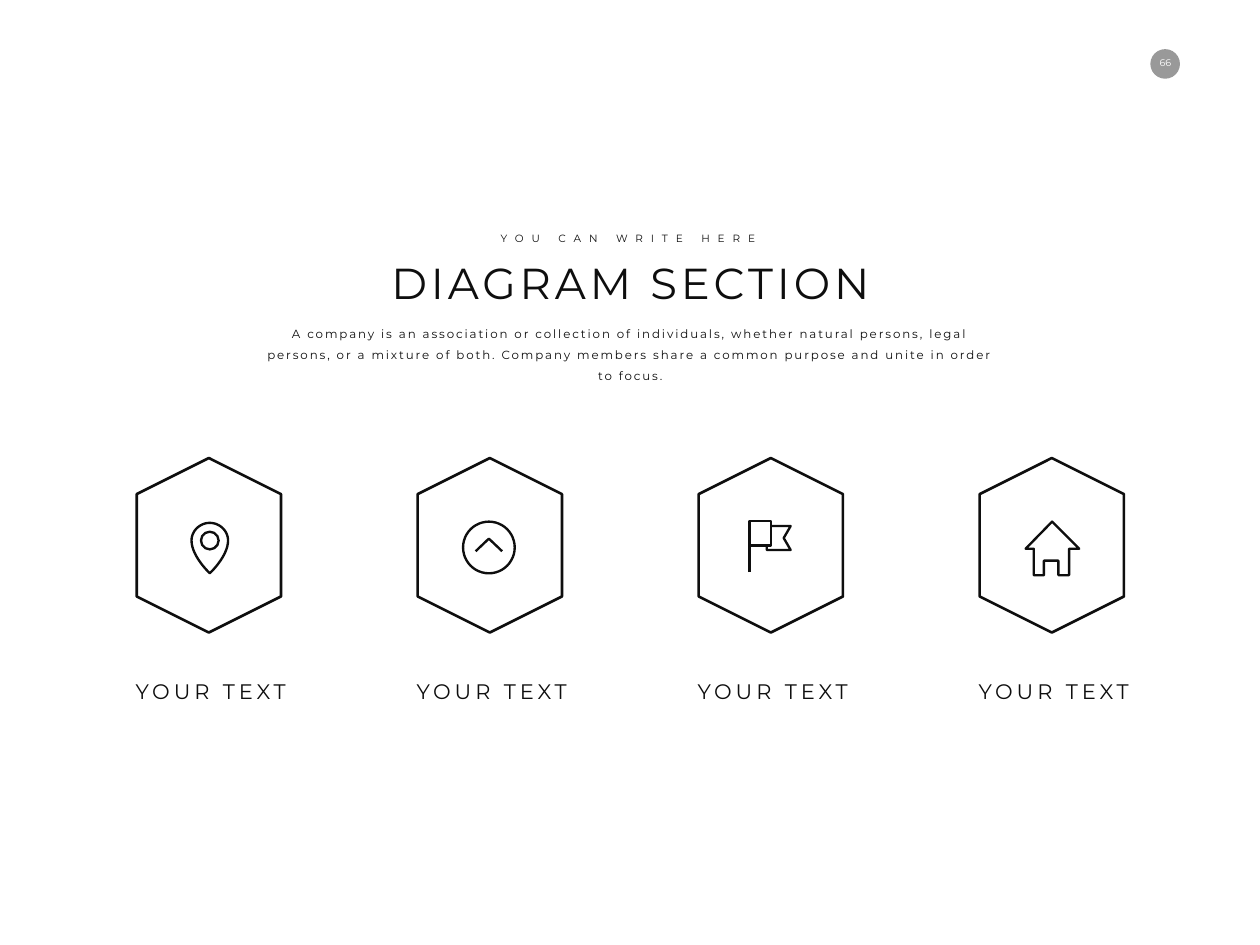
from pptx import Presentation
from pptx.dml.color import RGBColor
from pptx.enum.shapes import MSO_SHAPE
from pptx.enum.text import MSO_AUTO_SIZE, PP_ALIGN
from pptx.oxml.ns import qn
from pptx.util import Inches, Pt
from lxml import etree

HEXAGON = MSO_SHAPE.HEXAGON
OVAL = MSO_SHAPE.OVAL
RECTANGLE = MSO_SHAPE.RECTANGLE
CENTER = PP_ALIGN.CENTER
GROW = MSO_AUTO_SIZE.SHAPE_TO_FIT_TEXT

INTRODUCTION = (
    "A company is an association or collection of individuals, whether natural "
    "persons, legal persons, or a mixture of both. Company members share a common "
    "purpose and unite in order to focus."
)


def color(value):
    return RGBColor.from_string(value)


def curve(start, first, second, end, steps=16):
    points = []
    for step in range(1, steps + 1):
        t = step / steps
        u = 1 - t
        points.append(tuple(
            u**3 * a + 3 * u**2 * t * b + 3 * u * t**2 * c + t**3 * d
            for a, b, c, d in zip(start, first, second, end)
        ))
    return points


class DiagramSlide:
    font = "Montserrat"
    ink = "0E0E0E"
    icon_line = 2.7

    def __init__(self, presentation):
        self.slide = presentation.slides.add_slide(presentation.slide_layouts[6])

    def paint(self, shape, fill=None, line=None):
        shape.shadow.inherit = False
        if fill:
            shape.fill.solid()
            shape.fill.fore_color.rgb = color(fill)
        else:
            shape.fill.background()
        if line:
            shape.line.color.rgb = color(self.ink)
            shape.line.width = Pt(line)
        else:
            shape.line.fill.background()

    def shape(self, kind, left, top, width, height, fill=None, line=None):
        shape = self.slide.shapes.add_shape(
            kind, Inches(left), Inches(top), Inches(width), Inches(height))
        self.paint(shape, fill, line)
        return shape

    def veil(self, width, height, opacity):
        shape = self.shape(RECTANGLE, 0, 0, width, height, fill="FFFFFF")
        fill_color = shape.fill._xPr.find(qn("a:solidFill"))[0]
        etree.SubElement(fill_color, qn("a:alpha")).set("val", str(opacity * 1000))

    def circle(self, x, y, radius):
        self.shape(OVAL, x - radius, y - radius, 2 * radius, 2 * radius,
                   line=self.icon_line)

    def outline(self, points, close=False):
        corners = [(Inches(x), Inches(y)) for x, y in points]
        builder = self.slide.shapes.build_freeform(*corners[0], scale=1.0)
        builder.add_line_segments(corners[1:], close=close)
        self.paint(builder.convert_to_shape(), line=self.icon_line)

    def text(self, words, left, top, width, height, size, spacing=0,
             wrap=False, line_spacing=None, ink=None):
        box = self.slide.shapes.add_textbox(
            Inches(left), Inches(top), Inches(width), Inches(height))
        frame = box.text_frame
        frame.word_wrap = wrap
        frame.auto_size = GROW
        paragraph = frame.paragraphs[0]
        paragraph.alignment = CENTER
        if line_spacing:
            paragraph.line_spacing = line_spacing
        run = paragraph.add_run()
        run.text = words
        run.font.name = self.font
        run.font.size = Pt(size)
        run.font.color.rgb = color(ink or self.ink)
        if spacing:
            run._r.get_or_add_rPr().set("spc", str(int(spacing * 100)))
        return frame

    def hexagon(self, left, top, width, height):
        shape = self.shape(HEXAGON, left, top, width, height, line=3)
        shape.rotation = 270

    def pin_icon(self):
        tip, left, top, right = (3.33, 9.1), (3.04, 8.58), (3.33, 8.3), (3.62, 8.58)
        self.outline(
            [tip]
            + curve(tip, tip, (3.04, 8.83), left)
            + curve(left, (3.04, 8.43), (3.17, 8.3), top)
            + curve(top, (3.49, 8.3), (3.62, 8.43), right)
            + curve(right, (3.62, 8.83), tip, tip)[:-1],
            close=True)
        self.circle(3.33, 8.58, 0.14)

    def chevron_icon(self):
        self.circle(7.76, 8.69, 0.41)
        self.outline([(7.55, 8.75), (7.76, 8.55), (7.97, 8.75)])

    def flag_icon(self):
        self.outline([(11.9, 9.08), (11.9, 8.27), (12.24, 8.27),
                      (12.24, 8.66), (11.9, 8.66)])
        self.outline([(12.24, 8.35), (12.55, 8.35), (12.44, 8.54),
                      (12.55, 8.73), (12.17, 8.73), (12.17, 8.66)])

    def house_icon(self):
        self.outline([(16.7, 8.28), (16.28, 8.71), (16.41, 8.71), (16.41, 9.13),
                      (16.57, 9.13), (16.57, 8.9), (16.8, 8.9), (16.8, 9.13),
                      (16.97, 9.13), (16.97, 8.71), (17.13, 8.71)], close=True)


def main():
    presentation = Presentation()
    presentation.slide_width = Inches(20)
    presentation.slide_height = Inches(15)
    page = DiagramSlide(presentation)

    page.shape(OVAL, 18.26, 0.78, 0.47, 0.47, fill="000000")
    number = page.text("66", 18.21, 0.82, 0.58, 0.34, 11, ink="FFFFFF")
    number.margin_left = number.margin_right = Inches(0.15)
    number.margin_top = number.margin_bottom = Inches(0.08)
    page.veil(20, 15, 60)

    page.text("DIAGRAM SECTION", 6.08, 4.01, 7.86, 0.93, 49.5, 4.5)
    page.text("YOU CAN WRITE HERE", 7.78, 3.63, 4.38, 0.3, 12, 9)
    page.text(INTRODUCTION, 3.99, 5.02, 12.03, 0.78, 13.5, 2.2,
              wrap=True, line_spacing=1.5)

    icons = [page.pin_icon, page.chevron_icon, page.flag_icon, page.house_icon]
    for column, draw_icon in enumerate(icons):
        left = 1.93 + 4.46 * column
        page.hexagon(left, 7.51, 2.77, 2.29)
        draw_icon()
        page.text("YOUR TEXT", left + 0.07, 10.72, 2.69, 0.51, 24, 4.5)

    presentation.save("out.pptx")


if __name__ == "__main__":
    main()
